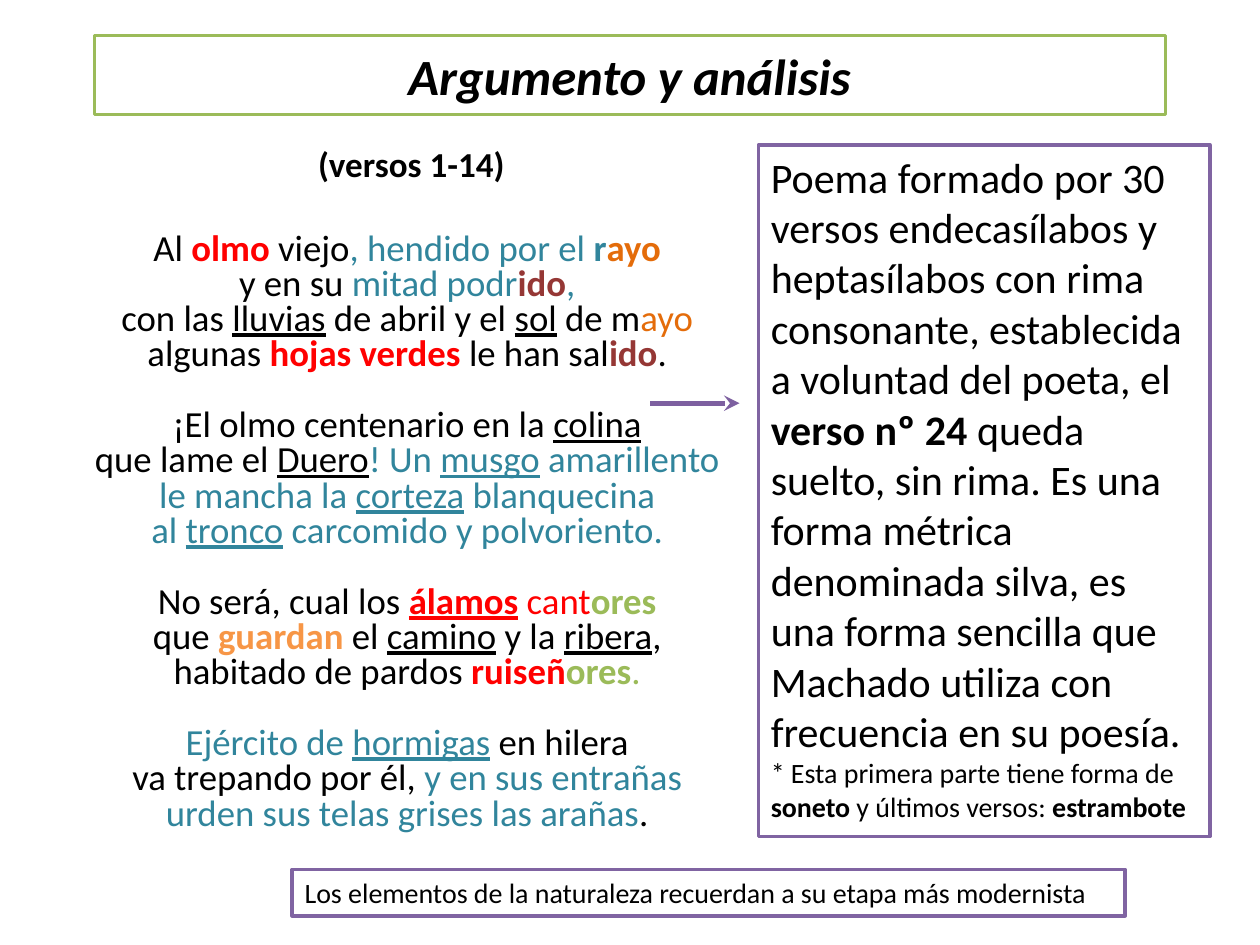
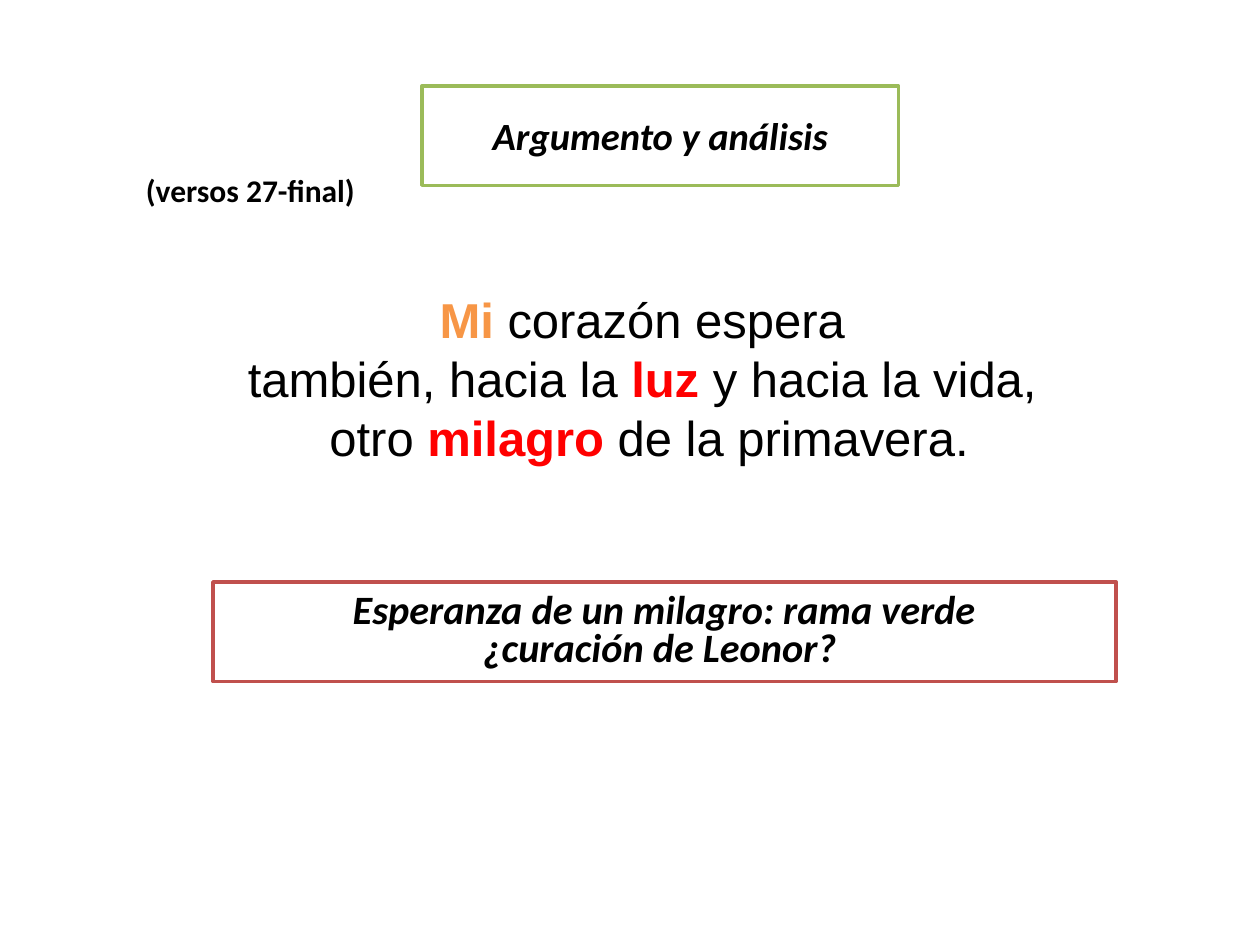
from dataclasses import dataclass
from typing import Optional

from lxml import etree
from pptx import Presentation
from pptx.dml.color import RGBColor
from pptx.enum.shapes import MSO_CONNECTOR, MSO_SHAPE
from pptx.enum.text import MSO_ANCHOR, PP_ALIGN
from pptx.oxml.ns import qn
from pptx.util import Pt

CENTER, LEFT = PP_ALIGN.CENTER, PP_ALIGN.LEFT
TOP, MIDDLE = MSO_ANCHOR.TOP, MSO_ANCHOR.MIDDLE
RECTANGLE, STRAIGHT = MSO_SHAPE.RECTANGLE, MSO_CONNECTOR.STRAIGHT

# Shared colours and measures
BLACK, WHITE, RED = "000000", "FFFFFF", "FF0000"
TEAL, ORANGE, PEACH = "31859C", "E46C0A", "F79646"
MAROON, GREEN = "953735", "9BBB59"
PURPLE, ARROW_PURPLE, BRICK = "8064A2", "7D60A0", "C0504D"
INSET_X, INSET_Y, OUTLINE = 7.2, 3.6, 2
TITLE = "Argumento y análisis"
VERSE_SIZE, VERSE_SPACING = 21, 0.8
HEADING_GAP, STANZA_GAP = 27.5, 20.3


@dataclass
class Span:
    text: str
    color: str = BLACK
    bold: bool = False
    underline: bool = False
    italic: bool = False


Line = list[Span]


@dataclass
class Para:
    lines: list[Line]
    size: float
    align: int = LEFT
    spacing: Optional[float] = None
    before: float = 0
    font: str = "Calibri"


@dataclass
class Box:
    left: float
    top: float
    width: float
    height: float
    paras: list[Para]
    outline: Optional[str] = None
    anchor: int = TOP


def rgb(color: str) -> RGBColor:
    return RGBColor.from_string(color)


def bold(text: str, color: str = BLACK) -> Span:
    return Span(text, color, bold=True)


def under(text: str, color: str = BLACK) -> Span:
    return Span(text, color, underline=True)


def teal(text: str) -> Span:
    return Span(text, TEAL)


def slogan(text: str) -> Line:
    return [Span(text, bold=True, italic=True)]


def write_para(para, content: Para) -> None:
    para.alignment = content.align
    para.space_before = Pt(content.before)
    if content.spacing:
        para.line_spacing = content.spacing
    for number, line in enumerate(content.lines):
        if number:
            para.add_line_break()
        for span in line:
            run = para.add_run()
            run.text = span.text
            font = run.font
            font.name, font.size = content.font, Pt(content.size)
            font.bold, font.italic = span.bold, span.italic
            font.underline = span.underline
            font.color.rgb = rgb(span.color)


def draw_box(page, box: Box) -> None:
    place = [Pt(v) for v in (box.left, box.top, box.width, box.height)]
    if box.outline:
        shape = page.shapes.add_shape(RECTANGLE, *place)
        shape.shadow.inherit = False
        shape.fill.solid()
        shape.fill.fore_color.rgb = rgb(WHITE)
        shape.line.color.rgb = rgb(box.outline)
        shape.line.width = Pt(OUTLINE)
    else:
        shape = page.shapes.add_textbox(*place)
    frame = shape.text_frame
    frame.word_wrap = True
    frame.vertical_anchor = box.anchor
    frame.margin_left = frame.margin_right = Pt(INSET_X)
    frame.margin_top = frame.margin_bottom = Pt(INSET_Y)
    for number, content in enumerate(box.paras):
        para = frame.add_paragraph() if number else frame.paragraphs[0]
        write_para(para, content)


def draw_arrow(page, left: float, right: float, y: float) -> None:
    arrow = page.shapes.add_connector(STRAIGHT, Pt(left), Pt(y), Pt(right), Pt(y))
    arrow.line.color.rgb = rgb(ARROW_PURPLE)
    arrow.line.width = Pt(3)
    etree.SubElement(arrow.line._get_or_add_ln(), qn("a:tailEnd"), type="stealth")
    etree.SubElement(arrow._element.spPr, qn("a:effectLst"))


def title_box(left: float, top: float, width: float, height: float, size: float) -> Box:
    return Box(left, top, width, height, [Para([slogan(TITLE)], size, CENTER)], GREEN, MIDDLE)


STANZAS: list[list[Line]] = [
    [
        [Span("Al "), bold("olmo", RED), Span(" viejo"), teal(", hendido por el "),
         bold("r", TEAL), bold("ayo ", ORANGE)],
        [Span("y en su "), teal("mitad podr"), bold("ido", MAROON), teal(", ")],
        [Span("con las "), under("lluvias"), Span(" de abril y el "), under("sol"),
         Span(" de m"), Span("ayo ", ORANGE)],
        [Span("algunas "), bold("hojas verdes", RED), Span(" le han sal"),
         bold("ido", MAROON), Span(". ")],
    ],
    [
        [Span("¡El olmo centenario en la "), under("colina"), Span(" ")],
        [Span("que lame el "), under("Duero"), teal("! Un "), under("musgo", TEAL),
         teal(" amarillento ")],
        [teal("le mancha la "), under("corteza", TEAL), teal(" blanquecina ")],
        [teal("al "), under("tronco", TEAL), teal(" carcomido y polvoriento. ")],
    ],
    [
        [Span("No será, cual los "), Span("álamos", RED, bold=True, underline=True),
         Span(" cant", RED), bold("ores ", GREEN)],
        [Span("que "), bold("guardan", PEACH), Span(" el "), under("camino"),
         Span(" y la "), under("ribera"), Span(", ")],
        [Span("habitado de pardos "), bold("ruiseñ", RED), bold("ores", GREEN),
         Span(". ", GREEN)],
    ],
    [
        [teal("Ejército de "), under("hormigas", TEAL), Span(" en hilera ")],
        [Span("va trepando por él, "), teal("y en sus entrañas ")],
        [teal("urden sus telas grises las arañas"), Span(". ")],
    ],
]


def build_opening_verses(page) -> None:
    # Title and poem
    draw_box(page, title_box(54, 20.2, 612, 45.4, 29))
    poem = [Para([[bold("(versos 1-14)")]], 20, CENTER, VERSE_SPACING)]
    for number, stanza in enumerate(STANZAS):
        gap = STANZA_GAP if number else HEADING_GAP
        poem.append(Para(stanza, VERSE_SIZE, CENTER, VERSE_SPACING, gap))
    draw_box(page, Box(19.4, 82.8, 431.3, 434.2, poem))

    # Metre analysis, with the arrow leading to it
    metre = [
        Span("Poema formado por 30 versos endecasílabos y heptasílabos con rima "
             "consonante, establecida a voluntad del poeta, el "),
        bold("verso nº 24 "),
        Span("queda suelto, sin rima. Es una forma métrica denominada silva, es una "
             "forma sencilla que Machado utiliza con frecuencia en su poesía."),
    ]
    form = [Span("* Esta primera parte tiene forma de "), bold("soneto"),
            Span(" y últimos versos: "), bold("estrambote")]
    draw_box(page, Box(433.4, 82.8, 258, 395.3, [Para([metre], 24), Para([form], 16)], PURPLE))
    draw_arrow(page, 371.5, 422.6, 230.4)

    # Closing remark
    remark = [Span("Los elementos de la naturaleza recuerdan a su etapa más modernista")]
    draw_box(page, Box(167, 496.8, 476, 26.6, [Para([remark], 16)], PURPLE))


def build_final_verses(page) -> None:
    # Title and verse range
    draw_box(page, title_box(241.2, 49, 272.2, 56.9, 22))
    draw_box(page, Box(76.3, 94.3, 158.4, 28.8, [Para([[bold("(versos 27-final)")]], 18)]))

    # Final verses
    verses = [
        [bold("Mi", PEACH), Span(" corazón espera ")],
        [Span("también, hacia la "), bold("luz", RED), Span(" y hacia la vida, ")],
        [Span("otro "), bold("milagro", RED), Span(" de la primavera.")],
    ]
    draw_box(page, Box(110.2, 162, 521.3, 108.7, [Para(verses, 28, CENTER, font="Arial")]))

    # Interpretation
    hope = [Para([slogan(text)], 23, CENTER, VERSE_SPACING)
            for text in ("Esperanza de un milagro: rama verde", "¿curación de Leonor? ")]
    draw_box(page, Box(121.7, 332.6, 516.2, 56.9, hope, BRICK, MIDDLE))


def main() -> None:
    deck = Presentation()
    deck.slide_width, deck.slide_height = Pt(720), Pt(540)
    blank = deck.slide_layouts[6]
    for build in (build_opening_verses, build_final_verses):
        build(deck.slides.add_slide(blank))
    deck.save("out.pptx")


if __name__ == "__main__":
    main()
